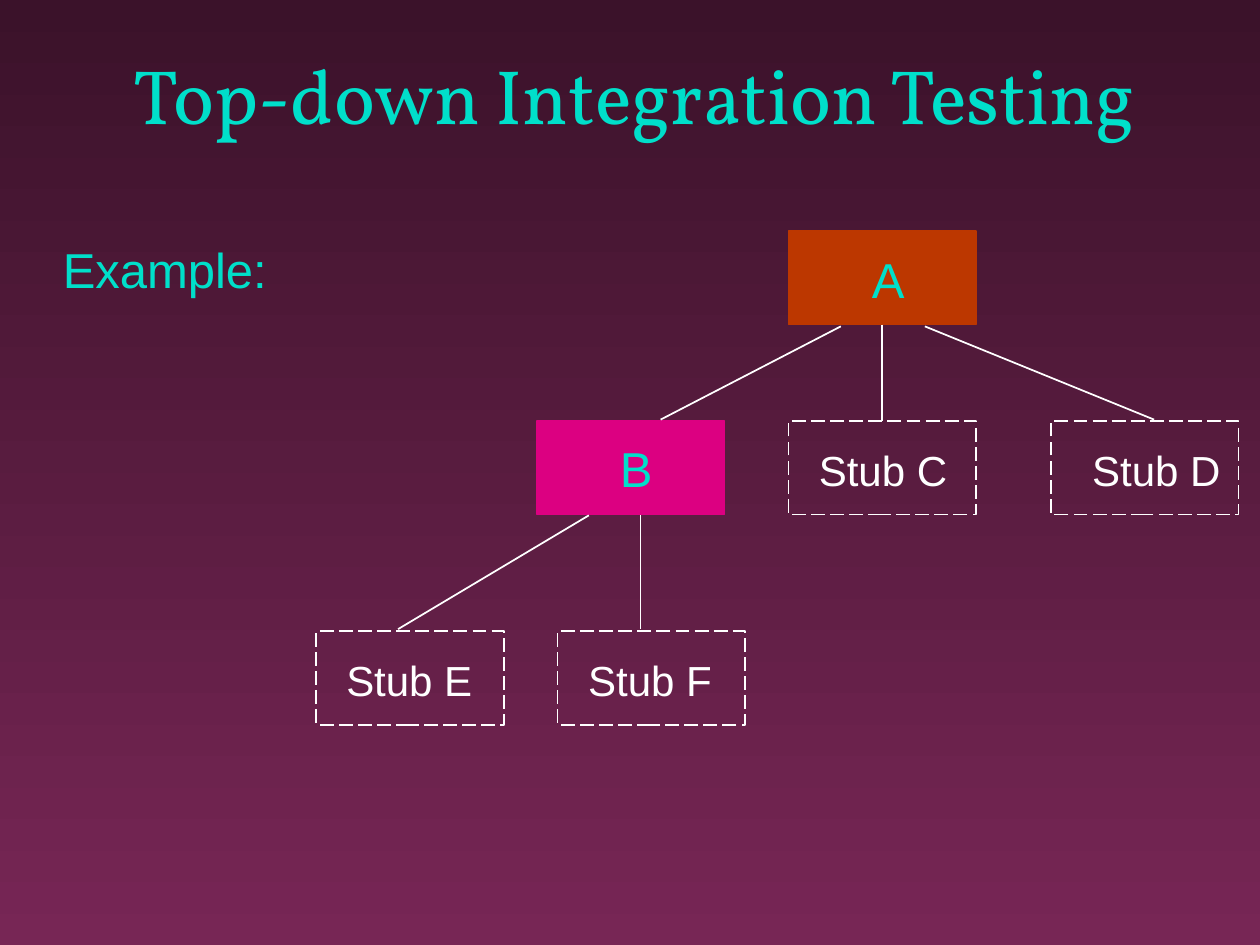
"""Build the top-down integration testing slide."""
from typing import NamedTuple, Optional

from lxml import etree
from pptx import Presentation
from pptx.dml.color import RGBColor
from pptx.enum.dml import MSO_LINE
from pptx.enum.shapes import MSO_CONNECTOR, MSO_SHAPE
from pptx.enum.text import MSO_ANCHOR, MSO_AUTO_SIZE, PP_ALIGN
from pptx.oxml.ns import qn
from pptx.util import Pt

RECT = MSO_SHAPE.RECTANGLE
STRAIGHT = MSO_CONNECTOR.STRAIGHT
LONG_DASH = MSO_LINE.LONG_DASH
BOTTOM, TOP = 2, 0
TEAL, WHITE = "00DFCA", "FFFFFF"
BOX_W, BOX_H = 107.3, 53.5
ROWS = (132, 240.5, 360.7)
HEADING = {"name": "Vollkorn", "size": Pt(44), "color": TEAL}
MODULE = {"name": "Arial", "size": Pt(28), "color": TEAL}
STUB = {"name": "Arial", "size": Pt(24), "color": WHITE}


class Node(NamedTuple):
    text: str
    left: float
    row: int
    label_dx: float
    label_dy: float
    label_w: float
    fill: Optional[str] = None


class Link(NamedTuple):
    x1: float
    y1: float
    x2: float
    y2: float
    parent: Optional[str] = None
    child: Optional[str] = None


NODES = (
    Node("A", 450.5, 0, 40.6, 7, 33, "BC3700"),
    Node("B", 306.7, 1, 40.4, 6.5, 33, "DC0081"),
    Node("Stub C", 450.5, 1, 10.3, 10, 87.8),
    Node("Stub D", 600.5, 1, 16.5, 10, 87.8),
    Node("Stub E", 180.7, 2, 10.1, 10, 86.4),
    Node("Stub F", 318.5, 2, 10.5, 10, 85),
)
LINKS = (
    Link(480.5, 186.5, 377.5, 239.8),
    Link(504, 186.5, 504, 239.8, "A", "Stub C"),
    Link(528.5, 186.5, 659.5, 239.8),
    Link(336.5, 294.5, 227.5, 359.5),
    Link(366, 294.5, 366, 359.5),
)


def rgb(value: str) -> RGBColor:
    """Turn a hex string into a colour."""
    return RGBColor.from_string(value)


def write(tf, text: str, style: dict) -> None:
    """Put one styled run into a text frame."""
    r = tf.paragraphs[0].add_run()
    r.text = text
    for key, value in style.items():
        if key == "color":
            r.font.color.rgb = rgb(value)
        else:
            setattr(r.font, key, value)


def add_label(slide, text: str, left: float, top: float, width: float, height: float, style: dict) -> None:
    """Add a one-line text box that fits its text."""
    tf = slide.shapes.add_textbox(Pt(left), Pt(top), Pt(width), Pt(height)).text_frame
    tf.word_wrap = False
    tf.auto_size = MSO_AUTO_SIZE.SHAPE_TO_FIT_TEXT
    write(tf, text, style)


def add_node(slide, node: Node):
    """Draw a filled module or a dashed stub with its label."""
    top = ROWS[node.row]
    sp = slide.shapes.add_shape(RECT, Pt(node.left), Pt(top), Pt(BOX_W), Pt(BOX_H))
    sp.shadow.inherit = False
    sp.line.width = Pt(1)
    sp.line.color.rgb = rgb(node.fill or WHITE)
    if node.fill:
        sp.fill.solid()
        sp.fill.fore_color.rgb = rgb(node.fill)
    else:
        sp.fill.background()
        sp.line.dash_style = LONG_DASH
    style, height = (MODULE, 40.5) if node.fill else (STUB, 36)
    add_label(slide, node.text, node.left + node.label_dx, top + node.label_dy, node.label_w, height, style)
    return sp


def add_link(slide, link: Link, boxes: dict) -> None:
    """Draw a line from a module to one it calls."""
    cxn = slide.shapes.add_connector(STRAIGHT, Pt(link.x1), Pt(link.y1), Pt(link.x2), Pt(link.y2))
    cxn.line.width = Pt(1)
    cxn.line.color.rgb = rgb(WHITE)
    etree.SubElement(cxn._element.spPr, qn("a:effectLst"))
    if link.parent:
        cxn.begin_connect(boxes[link.parent], BOTTOM)
        cxn.end_connect(boxes[link.child], TOP)


def main() -> None:
    """Assemble and save the slide."""
    prs = Presentation()
    prs.slide_width, prs.slide_height = Pt(720), Pt(540)
    slide = prs.slides.add_slide(prs.slide_layouts[5])

    fill = slide.background.fill
    fill.gradient()
    fill.gradient_angle = 270
    for stop, color in zip(fill.gradient_stops, ("3B122A", "772655")):
        stop.color.rgb = rgb(color)

    title = slide.shapes.title
    frame = {"left": 54, "top": 5.8, "width": 617.8, "height": 77.8}
    for key, value in frame.items():
        setattr(title, key, Pt(value))
    tf = title.text_frame
    tf.auto_size = MSO_AUTO_SIZE.NONE
    tf.vertical_anchor = MSO_ANCHOR.BOTTOM
    tf.paragraphs[0].alignment = PP_ALIGN.CENTER
    write(tf, "Top-down Integration Testing", HEADING)

    add_label(slide, "Example:", 28.8, 133.2, 139, 40.5, MODULE)
    boxes = {node.text: add_node(slide, node) for node in NODES}
    for link in LINKS:
        add_link(slide, link, boxes)
    prs.save("out.pptx")


if __name__ == "__main__":
    main()
